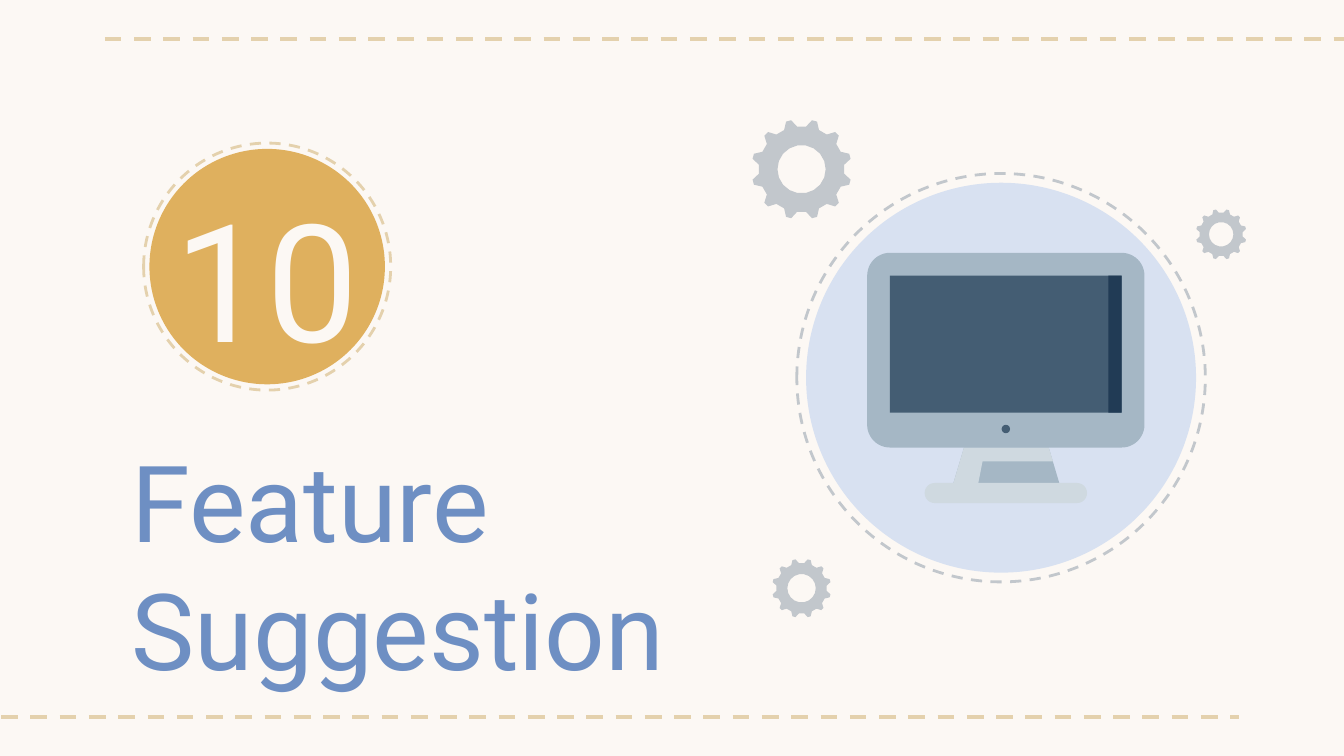
from math import cos, radians, sin

from lxml import etree
from pptx import Presentation
from pptx.dml.color import RGBColor
from pptx.enum.dml import MSO_LINE
from pptx.enum.shapes import MSO_CONNECTOR, MSO_SHAPE
from pptx.enum.text import MSO_ANCHOR, PP_ALIGN
from pptx.oxml.ns import qn
from pptx.util import Cm, Pt

CREAM, SAND, GOLD, BLUE = "FCF8F4", "E4D1AD", "DFB05E", "6E8FC3"
GREY, PALE_BLUE = "C2C7CC", "D8E1F1"
CASE, STAND, SCREEN, SHADE = "A5B7C5", "CFD9E0", "445D73", "213B55"
FONT = "Roboto"
PAGE_WIDTH, PAGE_HEIGHT = 25.4, 14.29


def color(value):
    return RGBColor.from_string(value)


def paint(shape, fill):
    shape.shadow.inherit = False
    shape.fill.solid()
    shape.fill.fore_color.rgb = color(fill)
    shape.line.fill.background()
    return shape


def dash(line, tint, width):
    line.color.rgb = color(tint)
    line.width = Pt(width)
    line.dash_style = MSO_LINE.DASH


def add_preset(shapes, kind, left, top, width, height, fill):
    shape = shapes.add_shape(kind, Cm(left), Cm(top), Cm(width), Cm(height))
    return paint(shape, fill)


def add_outline(shapes, contours, fill):
    """Draw closed contours of (x, y) points in cm; an inner contour is a hole."""
    contours = [[(Cm(x), Cm(y)) for x, y in contour] for contour in contours]
    builder = shapes.build_freeform(*contours[0][0])
    for index, contour in enumerate(contours):
        if index:
            builder.move_to(*contour[0])
        builder.add_line_segments(contour[1:], close=True)
    return paint(builder.convert_to_shape(), fill)


def add_dashed_rule(page, start, end, y):
    rule = page.shapes.add_connector(
        MSO_CONNECTOR.STRAIGHT, Cm(start), Cm(y), Cm(end), Cm(y))
    dash(rule.line, SAND, 2.25)
    etree.SubElement(rule.element.spPr, qn("a:effectLst"))


def add_ringed_disc(page, x, y, disc, ring, fill, ring_color):
    """Draw a disc inside a dashed ring, both centred on (x, y)."""
    outer = page.shapes.add_shape(
        MSO_SHAPE.OVAL, Cm(x - ring / 2), Cm(y - ring / 2), Cm(ring), Cm(ring))
    outer.shadow.inherit = False
    outer.fill.background()
    dash(outer.line, ring_color, 1.5)
    add_preset(page.shapes, MSO_SHAPE.OVAL, x - disc / 2, y - disc / 2, disc, disc, fill)


def add_text(page, text, left, top, width, height, size, tint, align, anchor):
    box = page.shapes.add_textbox(Cm(left), Cm(top), Cm(width), Cm(height))
    frame = box.text_frame
    frame.word_wrap = True
    frame.vertical_anchor = anchor
    frame.margin_left = frame.margin_right = Cm(0.25)
    frame.margin_top = frame.margin_bottom = Cm(0.25)
    frame.text = text
    para = frame.paragraphs[0]
    para.alignment = align
    font = para.runs[0].font
    font.name, font.size = FONT, Pt(size)
    font.color.rgb = color(tint)


def add_gear(page, x, y, radius, notches=12):
    """Draw a wheel with round notches bitten out of its rim and a round hole."""
    def polar(distance, angle, origin=(x, y)):
        turn = radians(angle)
        return (origin[0] + radius * distance * cos(turn),
                origin[1] + radius * distance * sin(turn))

    rim = []
    for notch in range(notches):
        angle = notch * 360 / notches
        bite = polar(1.05, angle)
        rim += [polar(0.22, angle + 180 + sweep, bite) for sweep in (70, 24, -24, -70)]
    hole = [polar(0.48, angle) for angle in range(0, 360, 20)]
    add_outline(page.shapes, [rim, hole], GREY)


def add_computer(page, left, top, width):
    shapes = page.shapes.add_group_shape().shapes
    middle = left + width / 2
    case_height, bezel, shade_width = 3.68, 0.43, 0.25
    screen_width, screen_height = width - 2 * bezel, 2.59
    foot_width, foot_height, foot_top, dot = 3.07, 0.38, 4.35, 0.16

    def add_polygon(points, fill):
        add_outline(shapes, [[(left + x, top + y) for x, y in points]], fill)

    neck_left = [(3.43, case_height), (1.83, case_height), (1.63, foot_top)]
    add_polygon(neck_left + [(3.63, foot_top)], CASE)
    add_polygon(neck_left + [(2.1, foot_top), (2.18, 3.94), (3.51, 3.94)], STAND)
    case = add_preset(shapes, MSO_SHAPE.ROUNDED_RECTANGLE,
                      left, top, width, case_height, CASE)
    case.adjustments[0] = bezel / case_height
    add_preset(shapes, MSO_SHAPE.RECTANGLE, left + bezel, top + bezel,
               screen_width, screen_height, SCREEN)
    add_preset(shapes, MSO_SHAPE.RECTANGLE, left + width - bezel - shade_width,
               top + bezel, shade_width, screen_height, SHADE)
    foot = add_preset(shapes, MSO_SHAPE.ROUNDED_RECTANGLE, middle - foot_width / 2,
                      top + foot_top, foot_width, foot_height, STAND)
    foot.adjustments[0] = 0.5
    add_preset(shapes, MSO_SHAPE.OVAL, middle - dot / 2, top + 3.33 - dot / 2,
               dot, dot, SCREEN)


def add_number_badge(page, x, y):
    add_ringed_disc(page, x, y, 4.45, 4.67, GOLD, SAND)
    add_text(page, "10", x - 2.51, y - 2.1, 5, 4.57, 88, CREAM,
             PP_ALIGN.CENTER, MSO_ANCHOR.MIDDLE)


def add_illustration(page, x, y):
    """Place the computer on its disc, centred on (x, y), with gears around it."""
    add_ringed_disc(page, x, y, 7.37, 7.72, PALE_BLUE, GREY)
    for across, down, radius in ((-3.77, -3.94, 0.95), (4.16, -2.71, 0.48),
                                 (-3.77, 3.98, 0.56)):
        add_gear(page, x + across, y + down, radius)
    add_computer(page, x - 2.53, y - 2.36, 5.24)


def build_section_page(deck):
    page = deck.slides.add_slide(deck.slide_layouts[6])
    page.background.fill.solid()
    page.background.fill.fore_color.rgb = color(CREAM)
    add_dashed_rule(page, 1.98, 25.93, 0.73)
    add_dashed_rule(page, PAGE_WIDTH - 25.93, PAGE_WIDTH - 1.98, PAGE_HEIGHT - 0.73)
    add_number_badge(page, 5.05, 5.04)
    add_text(page, "Feature Suggestion", 2.24, 8, 13.03, 2.34, 57, BLUE,
             PP_ALIGN.LEFT, MSO_ANCHOR.TOP)
    add_illustration(page, 18.92, 7.14)


def main():
    deck = Presentation()
    deck.slide_width, deck.slide_height = Cm(PAGE_WIDTH), Cm(PAGE_HEIGHT)
    build_section_page(deck)
    deck.save("out.pptx")


if __name__ == "__main__":
    main()
